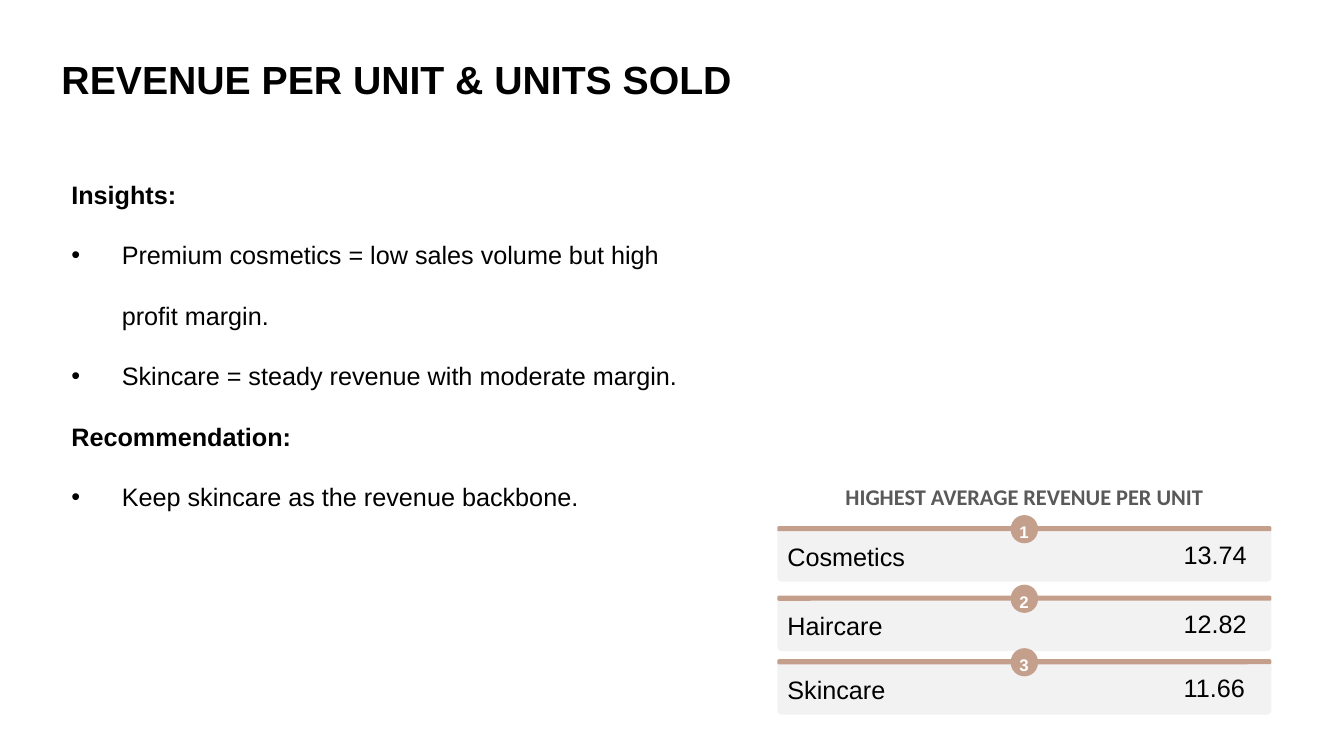
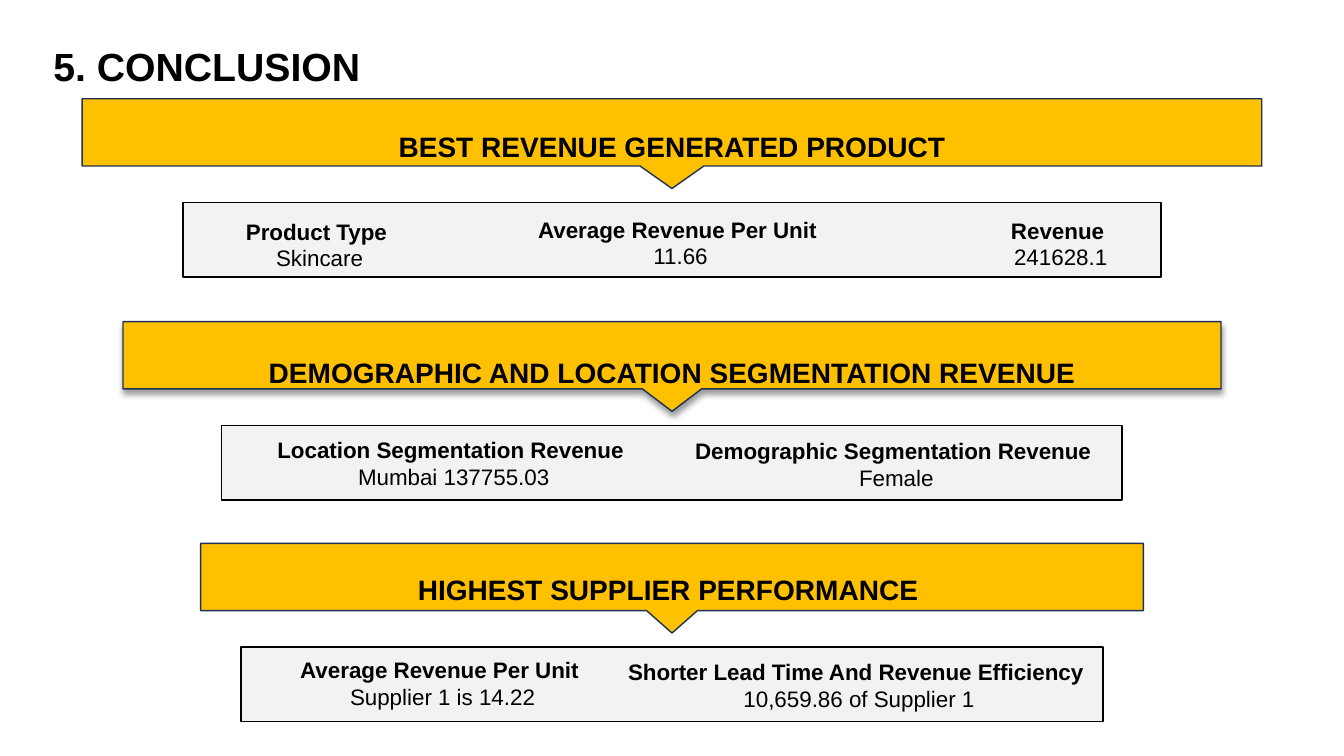
from dataclasses import dataclass

from lxml import etree
from pptx import Presentation
from pptx.dml.color import RGBColor
from pptx.enum.shapes import MSO_SHAPE
from pptx.enum.text import MSO_ANCHOR, MSO_AUTO_SIZE, PP_ALIGN
from pptx.oxml.ns import qn
from pptx.util import Emu, Inches, Pt

RECT, ROUND = MSO_SHAPE.RECTANGLE, MSO_SHAPE.ROUNDED_RECTANGLE
LEFT, CENTER = PP_ALIGN.LEFT, PP_ALIGN.CENTER
TOP, GROW = MSO_ANCHOR.TOP, MSO_AUTO_SIZE.SHAPE_TO_FIT_TEXT

BLACK = RGBColor(0x00, 0x00, 0x00)
WHITE = RGBColor(0xFF, 0xFF, 0xFF)
GREY = RGBColor(0x59, 0x59, 0x59)
PANEL = RGBColor(0xF2, 0xF2, 0xF2)
ROSE = RGBColor(0xC4, 0x9F, 0x8C)
GOLD = RGBColor(0xFF, 0xC0, 0x00)
NAVY = RGBColor(0x1E, 0x32, 0x56)

W, H = 13.33, 7.5
MID = W / 2
TITLE_W = 11.02
BANNER_H = 0.89
BAR_SHARE = 0.75
NOTCH_SHARE = 0.027
PANEL_DROP, PANEL_H = 1.03, 0.74
CARD_LEFT, CARD_W = 7.71, 4.9
BADGE = 0.27


@dataclass(frozen=True)
class Style:
    size: float
    color: RGBColor = BLACK
    bold: bool = False
    font: str = "Arial"
    align: PP_ALIGN = LEFT
    spacing: float | Pt | None = None


@dataclass(frozen=True)
class Rank:
    top: float
    label: str
    value: str


@dataclass(frozen=True)
class Caption:
    center: float
    top: float
    heading: str
    value: str
    width: float = 2.9


@dataclass(frozen=True)
class Section:
    top: float
    width: float
    panel_width: float
    title: str
    title_top: float
    captions: tuple[Caption, ...]
    shadow: bool = False


HEADING = Style(16, bold=True, align=CENTER)
VALUE = Style(16, align=CENTER)
BANNER = Style(20, bold=True, align=CENTER, spacing=Pt(54))
CARD_TITLE = Style(16, GREY, True, "Calibri", CENTER)
CARD_TEXT = Style(18, spacing=Pt(15))
BADGE_TEXT = Style(12, WHITE, True, spacing=Pt(18.5))
BODY_HEAD = Style(18, bold=True, spacing=2.0)
BODY = Style(18, spacing=2.0)

NOTES = (
    ("Insights:", BODY_HEAD),
    ("Premium cosmetics = low sales volume but high profit margin.", BODY),
    ("Skincare = steady revenue with moderate margin.", BODY),
    ("Recommendation:", BODY_HEAD),
    ("Keep skincare as the revenue backbone.", BODY),
)
RANKS = (
    Rank(5.22, "Cosmetics", "13.74"),
    Rank(5.91, "Haircare", "12.82"),
    Rank(6.54, "Skincare", "11.66"),
)
SECTIONS = (
    Section(0.98, 11.7, 9.7, "BEST REVENUE GENERATED PRODUCT", 0.87, (
        Caption(3.17, 2.16, "Product Type ", "Skincare"),
        Caption(6.75, 2.14, "Average Revenue Per Unit ", "11.66"),
        Caption(10.52, 2.15, "Revenue ", "241628.1"),
    )),
    Section(3.19, 10.89, 8.93, "DEMOGRAPHIC AND LOCATION SEGMENTATION REVENUE", 3.11, (
        Caption(4.5, 4.33, "Location Segmentation Revenue ", "Mumbai 137755.03", 3.7),
        Caption(8.89, 4.34, "Demographic Segmentation Revenue ", "Female", 4.2),
    ), shadow=True),
    Section(5.39, 9.35, 8.55, "HIGHEST SUPPLIER PERFORMANCE ", 5.26, (
        Caption(4.39, 6.51, "Average Revenue Per Unit ", "Supplier 1 is 14.22"),
        Caption(8.52, 6.53, "Shorter Lead Time And Revenue Efficiency ",
                "10,659.86 of Supplier 1", 4.8),
    )),
)


def add_text(shapes, x: float, y: float, w: float, h: float, *lines: tuple[str, Style],
             wrap: bool = False):
    tb = shapes.add_textbox(Inches(x), Inches(y), Inches(w), Inches(h))
    tf = tb.text_frame
    tf.word_wrap = wrap
    tf.vertical_anchor = TOP
    if not wrap:
        tf.margin_left = tf.margin_top = tf.margin_right = tf.margin_bottom = 0
    for i, (text, style) in enumerate(lines):
        p = tf.paragraphs[0] if i == 0 else tf.add_paragraph()
        p.add_run().text = text
        p.alignment = style.align
        if style.spacing is not None:
            p.line_spacing = style.spacing
        p.font.name, p.font.size = style.font, Pt(style.size)
        p.font.bold, p.font.color.rgb = style.bold, style.color
    return tb


def paint(sp, fill: RGBColor, line: RGBColor | None = None) -> None:
    sp.shadow.inherit = False
    sp.fill.solid()
    sp.fill.fore_color.rgb = fill
    if line is None:
        sp.line.fill.background()
    else:
        sp.line.color.rgb = line
        sp.line.width = Pt(1)


def add_box(shapes, kind: MSO_SHAPE, x: float, y: float, w: float, h: float,
            fill: RGBColor, line: RGBColor | None = None, radius: float | None = None) -> None:
    sp = shapes.add_shape(kind, Inches(x), Inches(y), Inches(w), Inches(h))
    paint(sp, fill, line)
    if radius is not None:
        sp.adjustments[0] = radius


def add_title(s, text: str, x: float, y: float, h: float, leading: float) -> None:
    add_text(s.shapes, x, y, TITLE_W, h, (text, Style(28, bold=True, spacing=Pt(leading))))


def add_bullet(p) -> None:
    pPr = p._p.get_or_add_pPr()
    pPr.set("marL", str(Inches(0.5)))
    pPr.set("indent", str(-Inches(0.5)))
    bullet = etree.Element(qn("a:buChar"), char="•")
    spacing = pPr.find(qn("a:lnSpc"))
    spacing.addnext(bullet)
    bullet.addprevious(etree.Element(qn("a:buFont"), typeface="Arial"))


def add_drop_shadow(sp) -> None:
    effects = sp._element.spPr.find(qn("a:effectLst"))
    shadow = etree.SubElement(effects, qn("a:outerShdw"), blurRad=str(Pt(4)), dist=str(Pt(3)),
                              dir=str(90 * 60000), algn="t", rotWithShape="0")
    color = etree.SubElement(shadow, qn("a:srgbClr"), val=str(BLACK))
    etree.SubElement(color, qn("a:alpha"), val="40000")


def add_rank(s, number: int, rank: Rank) -> None:
    shapes = s.shapes.add_group_shape().shapes
    middle = CARD_LEFT + CARD_W / 2
    y = rank.top
    add_box(shapes, ROUND, CARD_LEFT, y + 0.01, CARD_W, 0.54, PANEL, radius=0.08)
    add_box(shapes, ROUND, CARD_LEFT, y, CARD_W, 0.05, ROSE, radius=0.3)
    add_box(shapes, ROUND, middle - BADGE / 2, y - 0.11, BADGE, 0.28, ROSE, radius=0.5)
    add_text(shapes, middle - 0.05, y - 0.1, 0.11, 0.14, (str(number), BADGE_TEXT))
    add_text(shapes, CARD_LEFT + 0.1, y + 0.24, 1.8, 0.14, (rank.label, CARD_TEXT))
    add_text(shapes, CARD_LEFT + 4.03, y + 0.22, 0.8, 0.19, (rank.value, CARD_TEXT))


def add_banner(s, section: Section) -> None:
    left, right = MID - section.width / 2, MID + section.width / 2
    notch = section.width * NOTCH_SHARE
    top, bottom = section.top, section.top + BANNER_H * BAR_SHARE
    outline = ((right, top), (right, bottom), (MID + notch, bottom),
               (MID, top + BANNER_H), (MID - notch, bottom), (left, bottom))
    builder = s.shapes.build_freeform(Inches(left), Inches(top))
    builder.add_line_segments([(Inches(x), Inches(y)) for x, y in outline], close=True)
    sp = builder.convert_to_shape(Emu(0), Emu(0))
    paint(sp, GOLD, NAVY)
    if section.shadow:
        add_drop_shadow(sp)


def add_section(s, section: Section) -> None:
    add_banner(s, section)
    add_text(s.shapes, MID - section.width / 2, section.title_top, section.width, BANNER_H,
             (section.title, BANNER))
    add_box(s.shapes, RECT, MID - section.panel_width / 2, section.top + PANEL_DROP,
            section.panel_width, PANEL_H, PANEL, BLACK)
    for c in section.captions:
        add_text(s.shapes, c.center - c.width / 2, c.top, c.width, 0.59,
                 (c.heading, HEADING), (c.value, VALUE))


def build_revenue(s) -> None:
    add_title(s, "REVENUE PER UNIT & UNITS SOLD", 0.61, 0.6, 0.55, 30)
    add_text(s.shapes, CARD_LEFT, 4.79, CARD_W, 0.19,
             ("HIGHEST AVERAGE REVENUE PER UNIT", CARD_TITLE))
    tf = add_text(s.shapes, 0.61, 1.43, 6.47, 3.64, *NOTES, wrap=True).text_frame
    tf.auto_size = GROW
    for p, (_, style) in zip(tf.paragraphs, NOTES):
        if style is BODY:
            add_bullet(p)
    for number, rank in enumerate(RANKS, 1):
        add_rank(s, number, rank)


def build_conclusion(s) -> None:
    add_title(s, "5. CONCLUSION", 0.53, 0.14, 0.75, 54)
    for section in SECTIONS:
        add_section(s, section)


def main() -> None:
    prs = Presentation()
    prs.slide_width, prs.slide_height = Inches(W), Inches(H)
    for build in (build_revenue, build_conclusion):
        build(prs.slides.add_slide(prs.slide_layouts[6]))
    prs.save("out.pptx")


if __name__ == "__main__":
    main()
